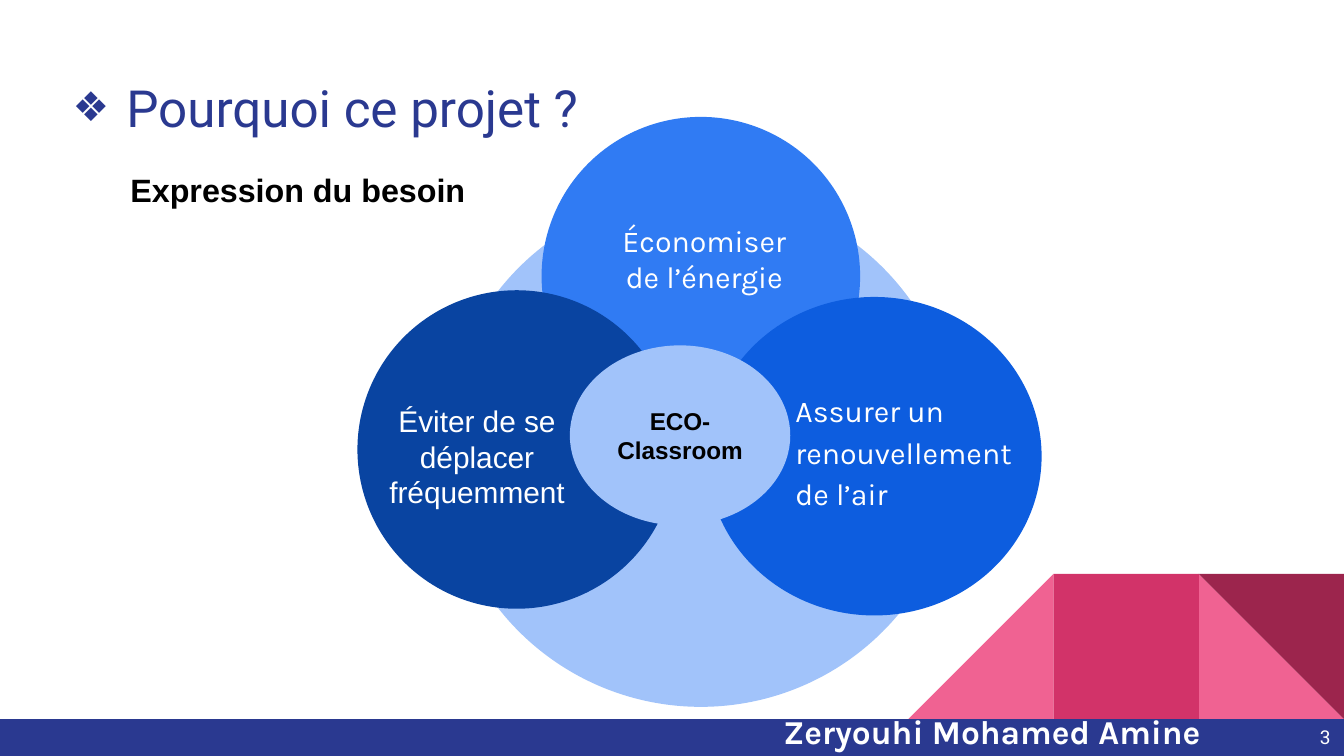
from dataclasses import dataclass

from lxml import etree
from pptx import Presentation
from pptx.dml.color import RGBColor
from pptx.enum import shapes, text
from pptx.oxml import ns
from pptx.util import Emu, Inches, Pt

# Grid of 100 columns by 56.25 rows, each cell a tenth of an inch.
CELL = Inches(0.1)
COLUMNS, ROWS = 100, 56.25
TILE = 10.8
BAR_TOP = 53.5

WHITE = RGBColor(0xFF, 0xFF, 0xFF)
BLACK = RGBColor(0x00, 0x00, 0x00)
INDIGO = RGBColor(0x2A, 0x39, 0x90)
PINK = RGBColor(0xF0, 0x62, 0x92)
ROSE = RGBColor(0xD2, 0x33, 0x69)
WINE = RGBColor(0x9C, 0x25, 0x4D)
PALE_BLUE = RGBColor(0xA1, 0xC3, 0xFA)
BRIGHT_BLUE = RGBColor(0x30, 0x7B, 0xF3)
ROYAL_BLUE = RGBColor(0x0D, 0x5D, 0xDF)
NAVY = RGBColor(0x09, 0x44, 0xA1)

SHAPE = shapes.MSO_SHAPE
ALIGN = text.PP_ALIGN
MIDDLE = text.MSO_ANCHOR.MIDDLE
TOP = text.MSO_ANCHOR.TOP


@dataclass(frozen=True)
class Area:
    column: float
    row: float
    columns: float
    rows: float

    def lengths(self) -> list[Emu]:
        return [Emu(round(n * CELL)) for n in (self.column, self.row, self.columns, self.rows)]


@dataclass(frozen=True)
class Style:
    font: str
    size: float
    color: RGBColor
    bold: bool = False
    align: ALIGN = ALIGN.CENTER
    spacing: float = 1.0


@dataclass(frozen=True)
class Need:
    circle: Area
    fill: RGBColor
    label: Area
    lines: tuple[str, ...]
    style: Style


@dataclass(frozen=True)
class Tile:
    kind: SHAPE
    column: int
    fill: RGBColor
    rotation: int = 0
    flipped: bool = False


TILES = (
    Tile(SHAPE.RIGHT_TRIANGLE, 2, PINK),
    Tile(SHAPE.RIGHT_TRIANGLE, 0, PINK, flipped=True),
    Tile(SHAPE.RECTANGLE, 1, ROSE),
    Tile(SHAPE.RIGHT_TRIANGLE, 2, WINE, rotation=180),
)

NEEDS = (
    Need(Area(40.3, 8.7, 23.7, 23.7), BRIGHT_BLUE, Area(44.2, 15.4, 16.4, 7.7),
         ("Économiser de l’énergie",), Style("Karla", 16.2, WHITE)),
    Need(Area(52.6, 22.1, 24.9, 23.7), ROYAL_BLUE, Area(58.2, 29.6, 20.9, 7.7),
         ("Assurer un renouvellement de l’air",),
         Style("Karla", 16.2, WHITE, align=ALIGN.LEFT, spacing=1.15)),
    Need(Area(26.6, 21.6, 23.7, 23.7), NAVY, Area(27.3, 30.1, 16.4, 7.7),
         ("Éviter de se déplacer", "fréquemment"), Style("Arial", 16, WHITE)),
)


def place(shape, area: Area) -> None:
    shape.left, shape.top, shape.width, shape.height = area.lengths()


def add_solid(parent, kind: SHAPE, area: Area, fill: RGBColor):
    shape = parent.add_shape(kind, *area.lengths())
    shape.shadow.inherit = False
    shape.fill.solid()
    shape.fill.fore_color.rgb = fill
    shape.line.fill.background()
    return shape


def write(shape, lines: tuple[str, ...], style: Style, anchor=MIDDLE) -> None:
    frame = shape.text_frame
    frame.word_wrap = True
    frame.auto_size = text.MSO_AUTO_SIZE.NONE
    frame.vertical_anchor = anchor
    frame.margin_left = frame.margin_right = CELL
    frame.margin_top = frame.margin_bottom = CELL
    frame.text = "\n".join(lines)
    for para in frame.paragraphs:
        para.alignment = style.align
        para.line_spacing = style.spacing
        para.space_before = Pt(0)
        para.font.name = style.font
        para.font.size = Pt(style.size)
        para.font.bold = style.bold
        para.font.color.rgb = style.color


def add_to_properties(para, *parts: str) -> None:
    """Put bullet or tab elements ahead of the paragraph's font settings."""
    properties = para._p.get_or_add_pPr()
    font = properties.find(ns.qn("a:defRPr"))
    for part in parts:
        element = etree.fromstring(part.replace("/>", f' {ns.nsdecls("a")}/>'))
        font.addprevious(element)


def draw_tile(page, tile: Tile) -> None:
    left = COLUMNS - (3 - tile.column) * TILE
    shape = add_solid(page.shapes, tile.kind, Area(left, BAR_TOP - TILE, TILE, TILE), tile.fill)
    shape.rotation = tile.rotation
    if tile.flipped:
        shape.element.spPr.xfrm.set("flipH", "1")


def draw_need(page, need: Need) -> None:
    group = page.shapes.add_group_shape()
    add_solid(group.shapes, SHAPE.OVAL, need.circle, need.fill)
    write(group.shapes.add_textbox(*need.label.lengths()), need.lines, need.style)


def draw_headings(page) -> None:
    title, body = page.placeholders
    place(title, Area(3.4, 4.7, 93.2, 6.6))
    write(title, ("Pourquoi ce projet ?",), Style("Roboto", 27.4, INDIGO, align=ALIGN.LEFT), TOP)
    para = title.text_frame.paragraphs[0]
    properties = para._p.get_or_add_pPr()
    properties.set("marL", str(Inches(0.5)))
    properties.set("indent", str(Inches(-0.4)))
    add_to_properties(para, '<a:buSzPct val="80000"/>', '<a:buFont typeface="Arial"/>',
                      '<a:buChar char="❖"/>')

    place(body, Area(8, 11.2, 92, 36.5))
    style = Style("Arial", 17.3, BLACK, True, ALIGN.LEFT, 1.15)
    write(body, ("Expression du besoin",), style, TOP)
    body.text_frame.margin_left = Inches(0.17)
    para = body.text_frame.paragraphs[0]
    properties = para._p.get_or_add_pPr()
    properties.set("marL", "0")
    properties.set("indent", "0")
    add_to_properties(para, "<a:buNone/>")


def draw_footer(page) -> None:
    add_solid(page.shapes, SHAPE.RECTANGLE, Area(0, BAR_TOP, COLUMNS, ROWS - BAR_TOP), INDIGO)
    box = page.shapes.add_textbox(*Area(57, 53.2, 43, 3).lengths())
    write(box, ("Zeryouhi Mohamed Amine\t",),
          Style("Karla", 17.9, WHITE, True, ALIGN.LEFT, 0.8))
    box.text_frame.margin_left = Inches(0.13)
    box.text_frame.margin_right = Inches(0.05)
    para = box.text_frame.paragraphs[0]
    tabs = etree.SubElement(para._p.get_or_add_pPr(), ns.qn("a:tabLst"))
    etree.SubElement(tabs, ns.qn("a:tab"), pos=str(Inches(3.99)), algn="l")
    para._p.pPr.find(ns.qn("a:defRPr")).addprevious(tabs)
    number = para.add_run()
    number.text = "3"
    number.font.name = "Roboto"
    number.font.size = Pt(10.2)
    number.font.bold = False


def main() -> None:
    deck = Presentation()
    deck.slide_width = Emu(COLUMNS * CELL)
    deck.slide_height = Emu(round(ROWS * CELL))
    page = deck.slides.add_slide(deck.slide_layouts[1])

    for tile in TILES:
        draw_tile(page, tile)
    draw_headings(page)
    draw_footer(page)

    add_solid(page.shapes, SHAPE.OVAL, Area(33, 14.3, 38.3, 38.3), PALE_BLUE)
    for need in NEEDS:
        draw_need(page, need)
    center = add_solid(page.shapes, SHAPE.OVAL, Area(42.4, 25.7, 16.4, 13.4), PALE_BLUE)
    write(center, ("ECO-", "Classroom"), Style("Arial", 13, BLACK, True))

    deck.save("out.pptx")


if __name__ == "__main__":
    main()
